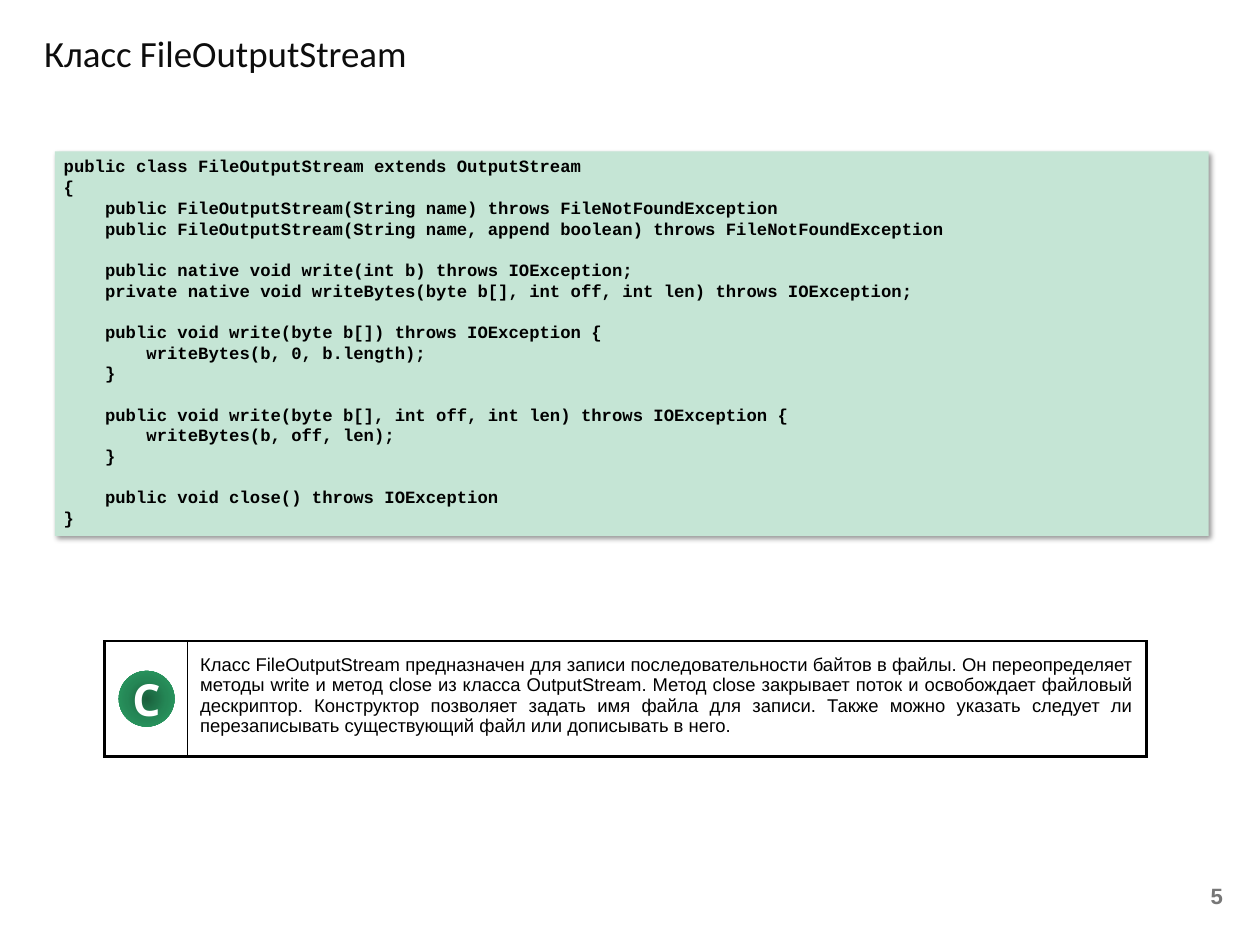
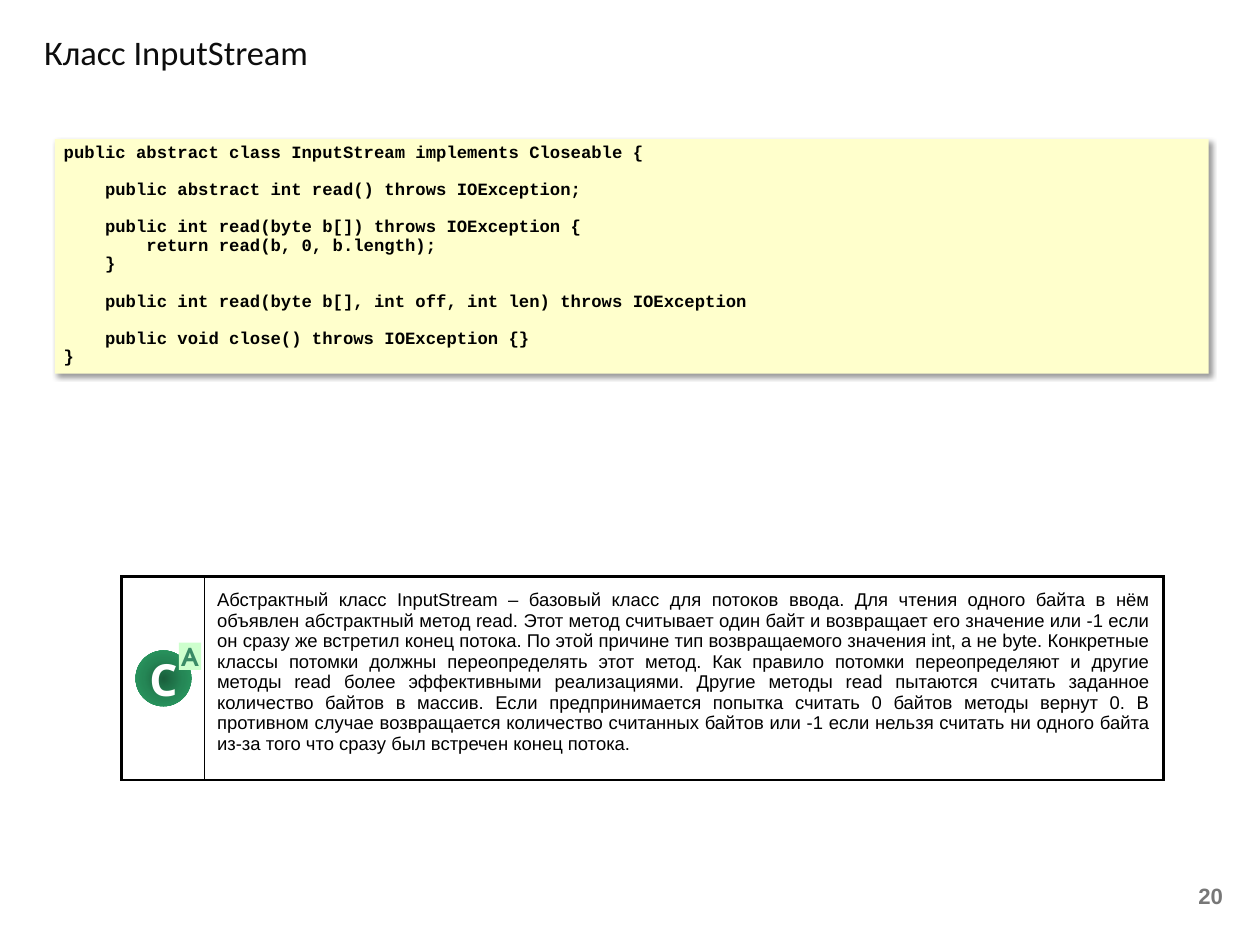
from dataclasses import dataclass

from lxml import etree
from pptx import Presentation
from pptx.dml.color import RGBColor
from pptx.enum.shapes import MSO_SHAPE
from pptx.enum.text import MSO_ANCHOR, PP_ALIGN
from pptx.oxml import parse_xml
from pptx.oxml.ns import nsdecls, qn
from pptx.util import Inches, Pt

RECTANGLE, OVAL = MSO_SHAPE.RECTANGLE, MSO_SHAPE.OVAL
TOP, MIDDLE = MSO_ANCHOR.TOP, MSO_ANCHOR.MIDDLE
LEFT, CENTER = PP_ALIGN.LEFT, PP_ALIGN.CENTER
RIGHT, JUSTIFY = PP_ALIGN.RIGHT, PP_ALIGN.JUSTIFY

BLACK, WHITE = "000000", "FFFFFF"
BADGE_STOPS = ((0, "1A5F3C"), (50, "258756"), (100, "2BA166"))
CODE_LINE = 16.8
NOTE_COLUMNS = (0.93, 10.83)
NOTE_MARGIN = 0.15
THICK, THIN = 2.25, 0.5
BADGE_SIZE, BADGE_OFFSET = 0.63, 0.16


@dataclass
class TextStyle:
    font: str
    size: float
    color: str = BLACK
    bold: bool = False
    align: PP_ALIGN = LEFT


@dataclass
class Box:
    left: float
    top: float
    width: float
    height: float

    def lengths(self) -> list:
        return [Inches(v) for v in (self.left, self.top, self.width, self.height)]


@dataclass
class ClassPage:
    number: int
    title: str
    title_size: float
    code: str
    code_fill: str
    code_top: float
    code_height: float
    code_spacing: float
    note: str
    note_left: float
    note_top: float
    note_height: float
    abstract: bool = False


TITLE_BOX = Box(0.4, 0.3, 11.03, 0.63)
NUMBER_BOX = Box(10.58, 9.85, 3.32, 0.53)
NUMBER_STYLE = TextStyle("Arial", 18, "777777", True, RIGHT)
CODE_STYLE = TextStyle("Courier New", 14, bold=True)
NOTE_STYLE = TextStyle("Arial", 15, align=JUSTIFY)
BADGE_STYLE = TextStyle("Noto Sans", 36, WHITE, True, CENTER)
MARK_STYLE = TextStyle("TeX Gyre Adventor", 20, "398B66", True, CENTER)

OUTPUT_CODE = """\
public class FileOutputStream extends OutputStream
{
    public FileOutputStream(String name) throws FileNotFoundException
    public FileOutputStream(String name, append boolean) throws FileNotFoundException

    public native void write(int b) throws IOException;
    private native void writeBytes(byte b[], int off, int len) throws IOException;

    public void write(byte b[]) throws IOException {
        writeBytes(b, 0, b.length);
    }

    public void write(byte b[], int off, int len) throws IOException {
        writeBytes(b, off, len);
    }

    public void close() throws IOException
}"""

INPUT_CODE = """\
public abstract class InputStream implements Closeable {

    public abstract int read() throws IOException;

    public int read(byte b[]) throws IOException {
        return read(b, 0, b.length);
    }

    public int read(byte b[], int off, int len) throws IOException

    public void close() throws IOException {}
}"""

OUTPUT_NOTE = (
    "Класс FileOutputStream предназначен для записи последовательности байтов в файлы. "
    "Он переопределяет методы write и метод close из класса OutputStream. "
    "Метод close закрывает поток и освобождает файловый дескриптор. "
    "Конструктор позволяет задать имя файла для записи. "
    "Также можно указать следует ли перезаписывать существующий файл или дописывать в него."
)
INPUT_NOTE = (
    "Абстрактный класс InputStream – базовый класс для потоков ввода. "
    "Для чтения одного байта в нём объявлен абстрактный метод read. "
    "Этот метод считывает один байт и возвращает его значение или -1 если он сразу же "
    "встретил конец потока. По этой причине тип возвращаемого значения int, а не byte. "
    "Конкретные классы потомки должны переопределять этот метод. "
    "Как правило потомки переопределяют и другие методы read более эффективными "
    "реализациями. Другие методы read пытаются считать заданное количество байтов в массив. "
    "Если предпринимается попытка считать 0 байтов методы вернут 0. "
    "В противном случае возвращается количество считанных байтов или -1 если нельзя "
    "считать ни одного байта из-за того что сразу был встречен конец потока."
)

PAGES = (
    ClassPage(5, "Класс FileOutputStream", 30, OUTPUT_CODE, "C5E5D5", 1.71, 4.34, 1.0,
              OUTPUT_NOTE, 1.18, 7.24, 1.3),
    ClassPage(20, "Класс InputStream", 28, INPUT_CODE, "FFFFCC", 1.57, 2.65, 0.9,
              INPUT_NOTE, 1.37, 6.51, 2.3, abstract=True),
)


def rgb(color: str) -> RGBColor:
    return RGBColor.from_string(color)


def add_span(para, text: str, style: TextStyle) -> None:
    para.alignment = style.align
    span = para.add_run()
    span.text = text
    span.font.name = style.font
    span.font.size = Pt(style.size)
    span.font.bold = style.bold
    span.font.color.rgb = rgb(style.color)


def add_label(page, box: Box, text: str, style: TextStyle, anchor=TOP, wrap=True) -> None:
    frame = page.shapes.add_textbox(*box.lengths()).text_frame
    frame.word_wrap = wrap
    frame.vertical_anchor = anchor
    add_span(frame.paragraphs[0], text, style)


def add_panel(page, preset, box: Box, fill: str):
    panel = page.shapes.add_shape(preset, *box.lengths())
    panel.shadow.inherit = False
    panel.fill.solid()
    panel.fill.fore_color.rgb = rgb(fill)
    panel.line.fill.background()
    return panel


def add_icon(page, preset, box: Box, fill: str, letter: str, style: TextStyle):
    icon = add_panel(page, preset, box, fill)
    frame = icon.text_frame
    frame.margin_left = frame.margin_top = frame.margin_right = frame.margin_bottom = 0
    frame.vertical_anchor = MIDDLE
    add_span(frame.paragraphs[0], letter, style)
    return icon


def add_drop_shadow(panel) -> None:
    effects = panel.element.spPr.find(qn("a:effectLst"))
    effects.append(parse_xml(
        f'<a:outerShdw {nsdecls("a")} blurRad="{Pt(4)}" dist="{Pt(3)}" dir="2700000" '
        f'algn="tl" rotWithShape="0"><a:srgbClr val="{BLACK}"><a:alpha val="40000"/>'
        '</a:srgbClr></a:outerShdw>'))


def set_radial_fill(icon, stops: tuple) -> None:
    marks = "".join(f'<a:gs pos="{position * 1000}"><a:srgbClr val="{color}"/></a:gs>'
                    for position, color in stops)
    gradient = parse_xml(
        f'<a:gradFill {nsdecls("a")} rotWithShape="1"><a:gsLst>{marks}</a:gsLst>'
        '<a:path path="circle"><a:fillToRect l="50000" t="50000" r="50000" b="50000"/>'
        '</a:path></a:gradFill>')
    properties = icon.element.spPr
    properties.replace(properties.find(qn("a:solidFill")), gradient)


def set_borders(cell, left: float, right: float) -> None:
    properties = cell._tc.get_or_add_tcPr()
    for side, width in (("L", left), ("R", right), ("T", THICK), ("B", THICK)):
        line = etree.SubElement(properties, qn(f"a:ln{side}"), w=str(Pt(width)))
        fill = etree.SubElement(line, qn("a:solidFill"))
        etree.SubElement(fill, qn("a:srgbClr"), val=BLACK)


def add_code(page, item: ClassPage) -> None:
    box = Box(0.62, item.code_top, 13.02, item.code_height)
    panel = add_panel(page, RECTANGLE, box, item.code_fill)
    add_drop_shadow(panel)
    frame = panel.text_frame
    frame.word_wrap = True
    frame.vertical_anchor = TOP
    # An empty code line becomes space before the next line
    para, gap = frame.paragraphs[0], False
    for index, line in enumerate(item.code.splitlines()):
        if not line:
            gap = True
            continue
        if index:
            para = frame.add_paragraph()
        para.line_spacing = item.code_spacing
        if gap:
            para.space_before = Pt(round(CODE_LINE * item.code_spacing, 1))
        add_span(para, line, CODE_STYLE)
        gap = False


def add_note(page, item: ClassPage) -> None:
    box = Box(item.note_left, item.note_top, sum(NOTE_COLUMNS), item.note_height)
    table = page.shapes.add_table(1, len(NOTE_COLUMNS), *box.lengths()).table
    table.first_row = table.horz_banding = False
    for column, width in zip(table.columns, NOTE_COLUMNS):
        column.width = Inches(width)
    icon_cell, text_cell = table.rows[0].cells
    set_borders(icon_cell, THICK, THIN)
    set_borders(text_cell, THIN, THICK)
    for cell in (icon_cell, text_cell):
        cell.fill.solid()
        cell.fill.fore_color.rgb = rgb(WHITE)
    text_cell.margin_left = text_cell.margin_right = Inches(NOTE_MARGIN)
    text_cell.margin_top = text_cell.margin_bottom = Inches(NOTE_MARGIN)
    add_span(text_cell.text_frame.paragraphs[0], item.note, NOTE_STYLE)

    # Class badge, centred on the height of the note
    badge_box = Box(item.note_left + BADGE_OFFSET,
                    item.note_top + (item.note_height - BADGE_SIZE) / 2,
                    BADGE_SIZE, BADGE_SIZE)
    badge = add_icon(page, OVAL, badge_box, BADGE_STOPS[1][1], "C", BADGE_STYLE)
    set_radial_fill(badge, BADGE_STOPS)
    if item.abstract:
        mark_box = Box(badge_box.left + 0.49, badge_box.top - 0.09, 0.25, 0.31)
        add_icon(page, RECTANGLE, mark_box, "CDFFCD", "A", MARK_STYLE)


def add_page(deck, item: ClassPage) -> None:
    page = deck.slides.add_slide(deck.slide_layouts[6])
    title_style = TextStyle("Calibri", item.title_size, "0D0D0D")
    add_label(page, TITLE_BOX, item.title, title_style, wrap=False)
    add_label(page, NUMBER_BOX, str(item.number), NUMBER_STYLE, MIDDLE)
    add_code(page, item)
    add_note(page, item)


def main() -> None:
    deck = Presentation()
    deck.slide_width, deck.slide_height = Inches(14.22), Inches(10.67)
    for item in PAGES:
        add_page(deck, item)
    deck.save("out.pptx")


if __name__ == "__main__":
    main()
